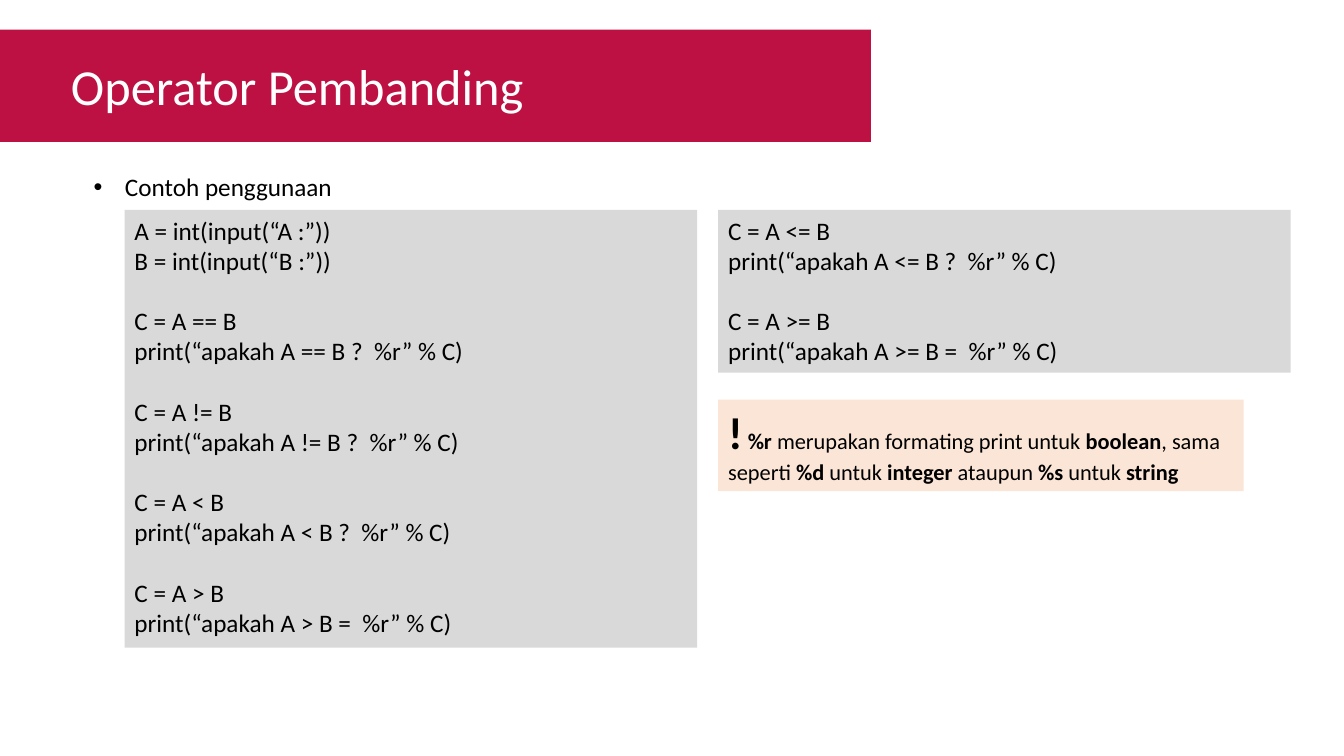
"""Build the slide on Python comparison operators."""
from lxml.etree import SubElement
from pptx import Presentation
from pptx.dml.color import RGBColor
from pptx.enum.shapes import MSO_SHAPE as Preset
from pptx.enum.text import MSO_AUTO_SIZE as AutoSize
from pptx.oxml.ns import qn
from pptx.util import Cm, Pt

TITLE = "Operator Pembanding"
BULLET = "Contoh penggunaan"
LEFT_CODE = [
    ["A = int(input(“A :”))", "B = int(input(“B :”))"],
    ["C = A == B", "print(“apakah A == B ?  %r” % C)"],
    ["C = A != B", "print(“apakah A != B ?  %r” % C)"],
    ["C = A < B", "print(“apakah A < B ?  %r” % C)"],
    ["C = A > B", "print(“apakah A > B =  %r” % C)"],
]
RIGHT_CODE = [
    ["C = A <= B", "print(“apakah A <= B ?  %r” % C)"],
    ["C = A >= B", "print(“apakah A >= B =  %r” % C)"],
]
NOTE = [
    ("!", True), (" ", False), ("%r", True),
    (" merupakan formating print untuk ", False), ("boolean", True),
    (", sama seperti ", False), ("%d", True), (" untuk ", False),
    ("integer ", True), ("ataupun ", False), ("%s", True),
    (" untuk ", False), ("string", True),
]

FONT = "Calibri"
CRIMSON = RGBColor(0xBC, 0x11, 0x42)
GREY = RGBColor(0xD9, 0xD9, 0xD9)
PEACH = RGBColor(0xFB, 0xE5, 0xD6)
WHITE = RGBColor(0xFF, 0xFF, 0xFF)
BLACK = RGBColor(0, 0, 0)

CODE_TOP, CODE_WIDTH = 5.29, 14.43
LEFT_X, RIGHT_X = 3.14, 18.1
GROUP_GAP = Pt(21.5)


def style(font, size, color=BLACK):
    font.name, font.size, font.color.rgb = FONT, Pt(size), color


def add_box(slide, left, top, width, height, fill=None):
    box = slide.shapes.add_textbox(Cm(left), Cm(top), Cm(width), Cm(height))
    frame = box.text_frame
    frame.auto_size = AutoSize.SHAPE_TO_FIT_TEXT
    frame.word_wrap = True
    if fill is not None:
        box.fill.solid()
        box.fill.fore_color.rgb = fill
    return frame


def add_code(slide, left, height, groups):
    frame = add_box(slide, left, CODE_TOP, CODE_WIDTH, height, GREY)
    paragraph = frame.paragraphs[0]
    for group_index, group in enumerate(groups):
        for line_index, line in enumerate(group):
            if group_index or line_index:
                paragraph = frame.add_paragraph()
            if group_index and not line_index:
                paragraph.space_before = GROUP_GAP
            paragraph.text = line
            style(paragraph.font, 18)


def main():
    presentation = Presentation()
    presentation.slide_width, presentation.slide_height = Cm(33.87), Cm(19.05)
    slide = presentation.slides.add_slide(presentation.slide_layouts[6])

    banner = slide.shapes.add_shape(Preset.RECTANGLE, 0, Cm(0.75), Cm(21.95), Cm(2.83))
    banner.shadow.inherit = False
    banner.fill.solid()
    banner.fill.fore_color.rgb = CRIMSON
    banner.line.fill.background()

    title = add_box(slide, 1.54, 1.26, 12.6, 1.8).paragraphs[0]
    title.text = TITLE
    style(title.font, 36, WHITE)

    bullet = add_box(slide, 2.11, 4.2, 7.5, 1.03).paragraphs[0]
    bullet.text = BULLET
    properties = bullet._p.get_or_add_pPr()
    properties.set("marL", str(Cm(0.79)))
    properties.set("indent", str(-Cm(0.79)))
    SubElement(properties, qn("a:buFont"), typeface="Arial")
    SubElement(properties, qn("a:buChar"), char="•")
    style(bullet.font, 18)

    add_code(slide, LEFT_X, 11.03, LEFT_CODE)
    add_code(slide, RIGHT_X, 4.1, RIGHT_CODE)

    note = add_box(slide, RIGHT_X, 10.07, 13.24, 2.31, PEACH).paragraphs[0]
    style(note.font, 16)
    for text, bold in NOTE:
        run = note.add_run()
        run.text = text
        run.font.bold = bold
        style(run.font, 32 if text == "!" else 16)

    presentation.save("out.pptx")


if __name__ == "__main__":
    main()
